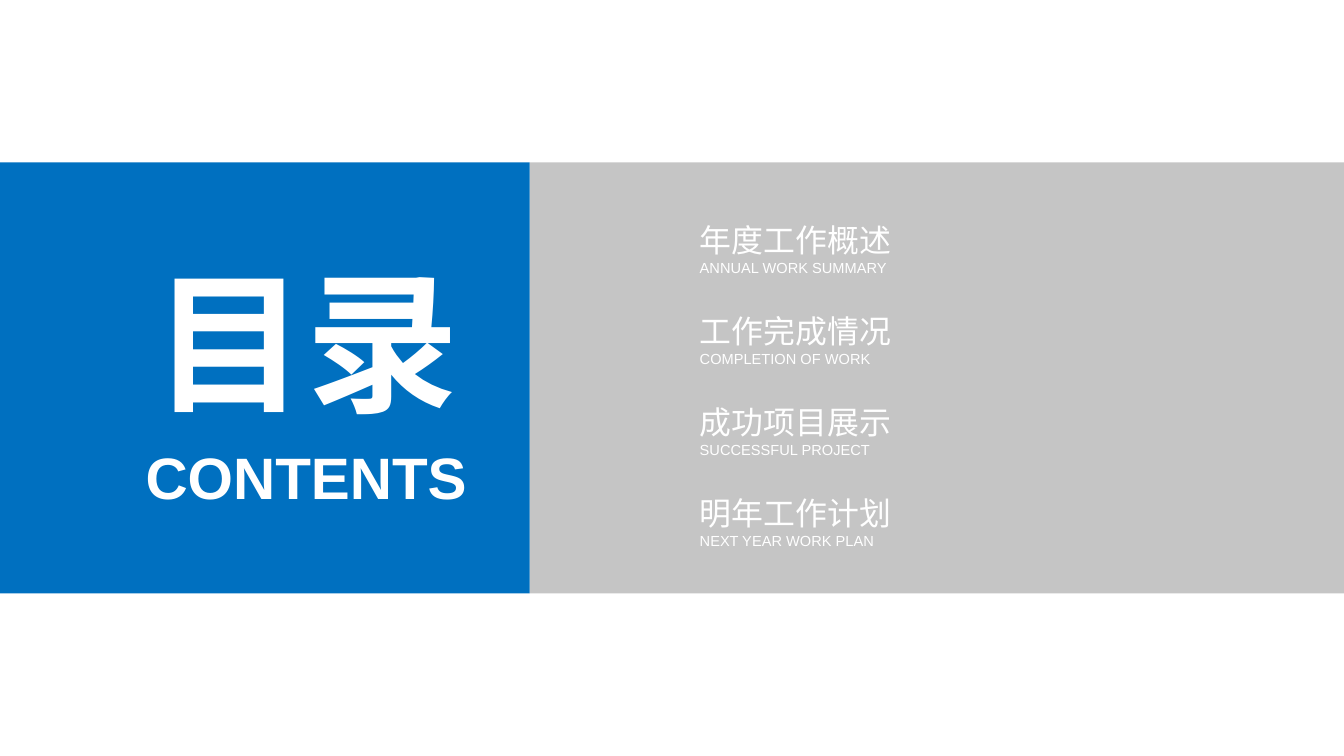
from typing import NamedTuple

from lxml import etree
from pptx import Presentation
from pptx import util as u
from pptx.dml.color import RGBColor
from pptx.enum import shapes, text
from pptx.oxml import ns

WHITE, BLUE, GRAY = "FFFFFF", "0070C0", "BFBFBF"
PAGE_WIDTH, PAGE_HEIGHT = 14.06, 7.91
BAND_TOP, BAND_HEIGHT = 1.7, 4.51
BLUE_WIDTH = 5.54
FIRST_ENTRY_TOP, ENTRY_STEP = 2.31, 0.95


class Area(NamedTuple):
    left: float
    top: float
    width: float
    height: float

    def lengths(self) -> list[u.Inches]:
        return [u.Inches(value) for value in self]


class Line(NamedTuple):
    words: str
    size: float
    bold: bool = False


class Entry(NamedTuple):
    chinese: str
    english: str


ENTRIES = [
    Entry("年度工作概述", "ANNUAL WORK SUMMARY"),
    Entry("工作完成情况", "COMPLETION OF WORK"),
    Entry("成功项目展示", "SUCCESSFUL PROJECT"),
    Entry("明年工作计划", "NEXT YEAR WORK PLAN"),
]


def paint(color_owner, color: str) -> None:
    """Colour a solid fill or a font."""
    if hasattr(color_owner, "solid"):
        color_owner.solid()
        color_owner.fore_color.rgb = RGBColor.from_string(color)
    else:
        color_owner.color.rgb = RGBColor.from_string(color)


def add_panel(page, area: Area, color: str, opacity: int = 100) -> None:
    panel = page.shapes.add_shape(shapes.MSO_SHAPE.RECTANGLE, *area.lengths())
    panel.shadow.inherit = False
    paint(panel.fill, color)
    panel.line.fill.background()
    if opacity < 100:
        tint = panel.fill._xPr.find(".//" + ns.qn("a:srgbClr"))
        etree.SubElement(tint, ns.qn("a:alpha"), val=str(opacity * 1000))


def add_outline(page, area: Area):
    """Add an unfilled rectangular freeform that holds an entry."""
    left, top, width, height = area.lengths()
    right, bottom = left + width, top + height
    builder = page.shapes.build_freeform(left, top)
    builder.add_line_segments([(right, top), (right, bottom), (left, bottom)])
    outline = builder.convert_to_shape()
    outline.shadow.inherit = False
    outline.fill.background()
    outline.line.fill.background()
    return outline


def write(box, lines: list[Line], align: text.PP_ALIGN, anchor: text.MSO_ANCHOR) -> None:
    frame = box.text_frame
    frame.margin_left = frame.margin_right = 0
    frame.margin_top = frame.margin_bottom = 0
    frame.word_wrap = True
    frame.auto_size = text.MSO_AUTO_SIZE.SHAPE_TO_FIT_TEXT
    frame.vertical_anchor = anchor
    for index, line in enumerate(lines):
        para = frame.add_paragraph() if index else frame.paragraphs[0]
        para.alignment = align
        span = para.add_run()
        span.text = line.words
        span.font.name = "Arial"
        span.font.size = u.Pt(line.size)
        span.font.bold = line.bold
        paint(span.font, WHITE)


def main() -> None:
    deck = Presentation()
    deck.slide_width = u.Inches(PAGE_WIDTH)
    deck.slide_height = u.Inches(PAGE_HEIGHT)
    page = deck.slides.add_slide(deck.slide_layouts[6])

    gray_width = PAGE_WIDTH - BLUE_WIDTH
    add_panel(page, Area(BLUE_WIDTH, BAND_TOP, gray_width, BAND_HEIGHT), GRAY, opacity=90)
    add_panel(page, Area(0, BAND_TOP, BLUE_WIDTH, BAND_HEIGHT), BLUE)

    center, middle = text.PP_ALIGN.CENTER, text.MSO_ANCHOR.MIDDLE
    title = page.shapes.add_textbox(*Area(1.52, 2.58, 3.37, 1.94).lengths())
    write(title, [Line("目录", 115, True)], center, middle)
    subtitle = page.shapes.add_textbox(*Area(1.4, 4.62, 3.61, 0.74).lengths())
    write(subtitle, [Line("CONTENTS", 44, True)], center, text.MSO_ANCHOR.TOP)

    for index, entry in enumerate(ENTRIES):
        area = Area(7.32, FIRST_ENTRY_TOP + index * ENTRY_STEP, 2.7, 0.59)
        write(add_outline(page, area), [Line(entry.chinese, 24), Line(entry.english, 11)],
              text.PP_ALIGN.LEFT, middle)

    deck.save("out.pptx")


if __name__ == "__main__":
    main()
